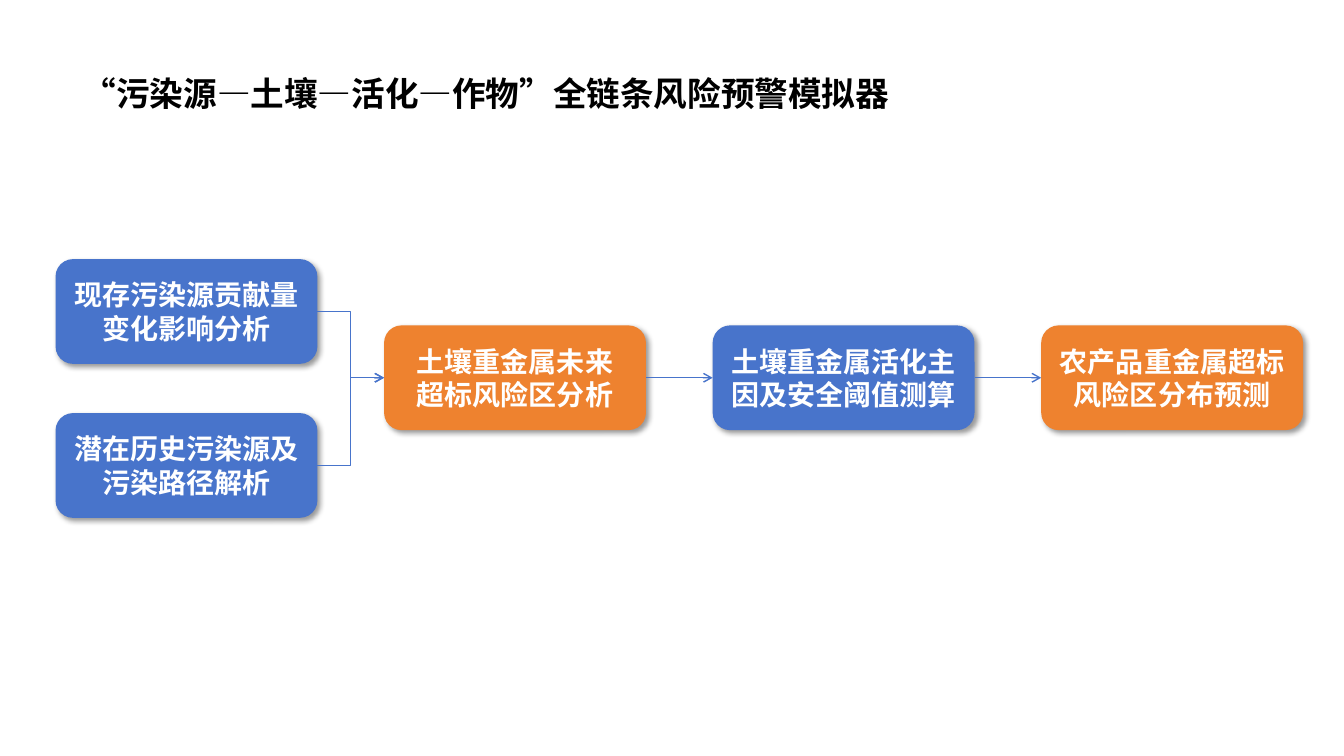
"""Build the flow slide of the full-chain soil pollution risk simulator."""
from dataclasses import dataclass

from lxml.etree import SubElement
from pptx import Presentation
from pptx.dml.color import RGBColor
from pptx.enum.lang import MSO_LANGUAGE_ID as LANG
from pptx.enum.shapes import MSO_CONNECTOR as CONN, MSO_SHAPE as SHAPE
from pptx.enum.text import MSO_ANCHOR as ANCHOR, PP_ALIGN as ALIGN
from pptx.oxml.ns import qn
from pptx.shapes.autoshape import Shape
from pptx.slide import Slide
from pptx.text.text import _Paragraph as Paragraph
from pptx.util import Cm, Pt

BLUE = RGBColor(0x48, 0x74, 0xCB)
ORANGE = RGBColor(0xEE, 0x82, 0x2F)
WHITE = RGBColor(0xFF, 0xFF, 0xFF)
BLACK = RGBColor(0x00, 0x00, 0x00)
FONT = "Calibri"
TITLE = "“污染源—土壤—活化—作物”全链条风险预警模拟器"

BOX_W, BOX_H = 6.6, 2.64
LEFT, COLUMN_PITCH = 1.4, 8.28
UPPER, MIDDLE, LOWER = 6.53, 8.2, 10.41
RIGHT_SIDE, LEFT_SIDE = 3, 1


@dataclass(frozen=True)
class Step:
    key: str
    lines: tuple[str, ...]
    column: int
    top: float
    fill: RGBColor


@dataclass(frozen=True)
class Link:
    start: str
    end: str
    kind: CONN


STEPS = (
    Step("sources", ("现存污染源贡献量变化影响分析",), 0, UPPER, BLUE),
    Step("history", ("潜在历史污染源及污染路径解析",), 0, LOWER, BLUE),
    Step("soil", ("土壤重金属未来", "超标风险区分析"), 1, MIDDLE, ORANGE),
    Step("activation", ("土壤重金属活化主因及安全阈值测算",), 2, MIDDLE, BLUE),
    Step("crops", ("农产品重金属超标风险区分布预测",), 3, MIDDLE, ORANGE),
)
LINKS = (
    Link("sources", "soil", CONN.ELBOW),
    Link("history", "soil", CONN.ELBOW),
    Link("soil", "activation", CONN.STRAIGHT),
    Link("activation", "crops", CONN.STRAIGHT),
)


def add_run(p: Paragraph, text: str, size: float, color: RGBColor) -> None:
    """Add one bold run to a paragraph."""
    r = p.add_run()
    r.text = text
    r.font.name = FONT
    r.font.size = Pt(size)
    r.font.bold = True
    r.font.color.rgb = color
    r.font.language_id = LANG.SIMPLIFIED_CHINESE


def add_shadow(sp: Shape) -> None:
    """Give a shape a soft shadow to the lower right."""
    sp.shadow.inherit = False
    effects = sp._element.spPr.find(qn("a:effectLst"))
    shadow = SubElement(effects, qn("a:outerShdw"), blurRad=str(Pt(4)),
                        dist=str(Pt(3)), dir="2700000", algn="tl",
                        rotWithShape="0")
    color = SubElement(shadow, qn("a:srgbClr"), val=str(BLACK))
    SubElement(color, qn("a:alpha"), val="40000")


def set_title(s: Slide) -> None:
    """Place and format the title placeholder."""
    sp = s.shapes.title
    sp.left, sp.top, sp.width, sp.height = Cm(1.83), Cm(1.7), Cm(22.7), Cm(1.27)
    tf = sp.text_frame
    tf.word_wrap = True
    tf.vertical_anchor = ANCHOR.TOP
    p = tf.paragraphs[0]
    p.alignment = ALIGN.LEFT
    add_run(p, TITLE, 24, BLACK)


def add_step(s: Slide, step: Step) -> Shape:
    """Draw one rounded box of the flow."""
    sp = s.shapes.add_shape(SHAPE.ROUNDED_RECTANGLE,
                            Cm(LEFT + step.column * COLUMN_PITCH), Cm(step.top),
                            Cm(BOX_W), Cm(BOX_H))
    sp.fill.solid()
    sp.fill.fore_color.rgb = step.fill
    sp.line.fill.background()
    add_shadow(sp)
    tf = sp.text_frame
    tf.word_wrap = True
    tf.vertical_anchor = ANCHOR.MIDDLE
    for i, line in enumerate(step.lines):
        p = tf.add_paragraph() if i else tf.paragraphs[0]
        p.alignment = ALIGN.CENTER
        add_run(p, line, 20, WHITE)
    return sp


def add_link(s: Slide, start: Shape, end: Shape, kind: CONN) -> None:
    """Join two boxes with an arrow from right side to left side."""
    cxn = s.shapes.add_connector(kind, start.left + start.width,
                                 start.top + start.height // 2,
                                 end.left, end.top + end.height // 2)
    cxn.begin_connect(start, RIGHT_SIDE)
    cxn.end_connect(end, LEFT_SIDE)
    cxn.line.color.rgb = BLUE
    cxn.line.width = Pt(1)
    SubElement(cxn.line._get_or_add_ln(), qn("a:tailEnd"), type="arrow")
    SubElement(cxn._element.spPr, qn("a:effectLst"))


def main() -> None:
    """Build and save the presentation."""
    prs = Presentation()
    prs.slide_width, prs.slide_height = Cm(33.87), Cm(19.05)
    s = prs.slides.add_slide(prs.slide_layouts[5])
    set_title(s)
    boxes = {step.key: add_step(s, step) for step in STEPS}
    for link in LINKS:
        add_link(s, boxes[link.start], boxes[link.end], link.kind)
    prs.save("out.pptx")


if __name__ == "__main__":
    main()
